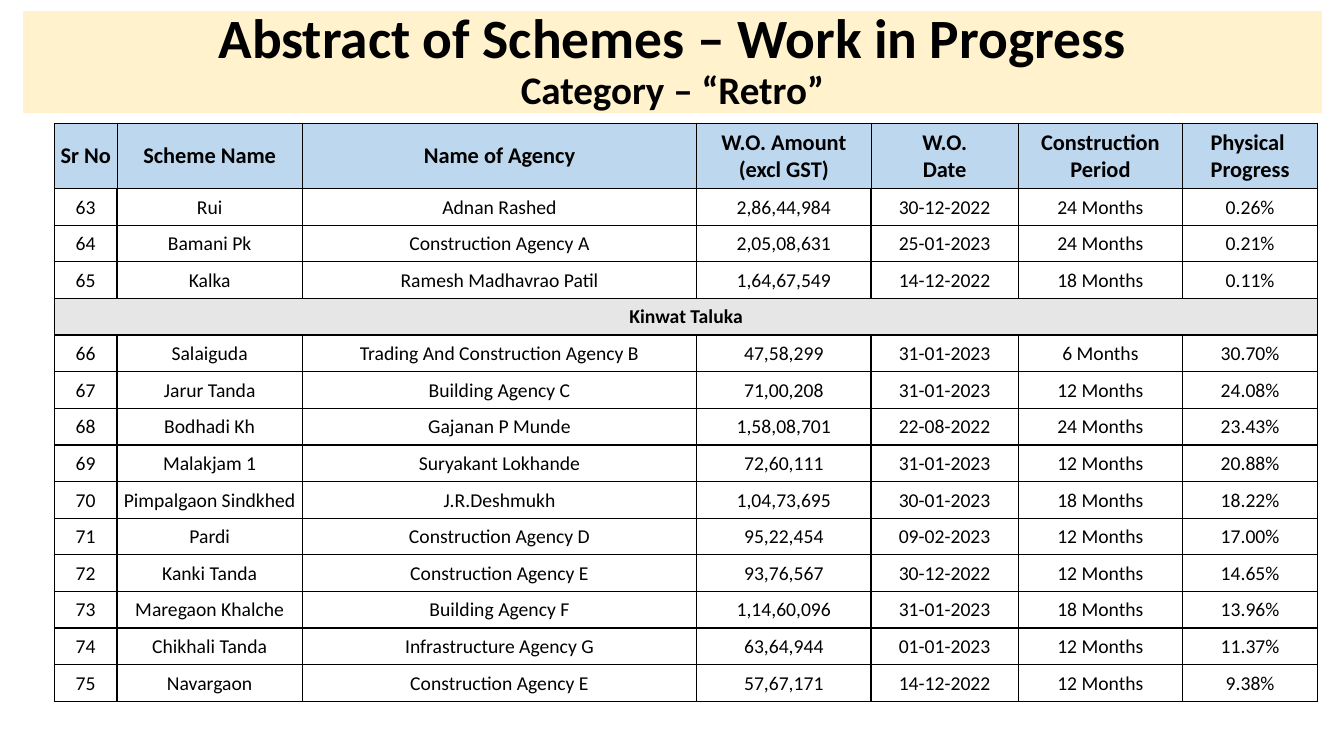
from copy import deepcopy

from lxml import etree
from pptx import Presentation
from pptx import util as u
from pptx.dml.color import RGBColor
from pptx.enum import shapes, text
from pptx.oxml import ns

COLORS = {"ink": "000000", "banner": "FFF2CC", "header": "BDD7EE", "section": "E7E6E6"}
COLUMNS = [0.62, 1.84, 3.91, 1.73, 1.46, 1.63, 1.34]
MARGINS = {"margin_left": 0.01, "margin_top": 0.01, "margin_right": 0.01, "margin_bottom": 0}
HEADER = ["Sr No", "Scheme Name", "Name of Agency", "W.O. Amount\v(excl GST)",
          "W.O.\vDate", "Construction\vPeriod", "Physical \nProgress"]
SCHEMES = [
    ("63", "Rui", "Adnan Rashed", "2,86,44,984", "30-12-2022", "24 Months", "0.26%"),
    ("64", "Bamani Pk", "Construction Agency A", "2,05,08,631", "25-01-2023", "24 Months", "0.21%"),
    ("65", "Kalka", "Ramesh Madhavrao Patil", "1,64,67,549", "14-12-2022", "18 Months", "0.11%"),
    ("Kinwat Taluka",),
    ("66", "Salaiguda", "Trading And Construction Agency B", "47,58,299", "31-01-2023", "6 Months", "30.70%"),
    ("67", "Jarur Tanda", "Building Agency C", "71,00,208", "31-01-2023", "12 Months", "24.08%"),
    ("68", "Bodhadi Kh", "Gajanan P Munde", "1,58,08,701", "22-08-2022", "24 Months", "23.43%"),
    ("69", "Malakjam 1", "Suryakant Lokhande", "72,60,111", "31-01-2023", "12 Months", "20.88%"),
    ("70", "Pimpalgaon Sindkhed", "J.R.Deshmukh", "1,04,73,695", "30-01-2023", "18 Months", "18.22%"),
    ("71", "Pardi", "Construction Agency D", "95,22,454", "09-02-2023", "12 Months", "17.00%"),
    ("72", "Kanki Tanda", "Construction Agency E", "93,76,567", "30-12-2022", "12 Months", "14.65%"),
    ("73", "Maregaon Khalche", "Building Agency F", "1,14,60,096", "31-01-2023", "18 Months", "13.96%"),
    ("74", "Chikhali Tanda", "Infrastructure Agency G", "63,64,944", "01-01-2023", "12 Months", "11.37%"),
    ("75", "Navargaon", "Construction Agency E", "57,67,171", "14-12-2022", "12 Months", "9.38%"),
]


def rgb(name):
    return RGBColor.from_string(COLORS[name])


def style_text(tf, sizes, bold):
    for p in tf.paragraphs:
        p.alignment = text.PP_ALIGN.CENTER
        for r, size in zip(p.runs, sizes):
            for key, value in {"name": "Calibri", "size": u.Pt(size), "bold": bold}.items():
                setattr(r.font, key, value)
            r.font.color.rgb = rgb("ink")
        for br in p._p.findall(ns.qn("a:br")):
            br.insert(0, deepcopy(p.runs[0].font._element))


def set_borders(cell, widths):
    tcPr = cell._tc.get_or_add_tcPr()
    for side, width in zip("LRTB", widths):
        ln = etree.SubElement(tcPr, ns.qn(f"a:ln{side}"), w=str(u.Pt(width)))
        fill = etree.SubElement(ln, ns.qn("a:solidFill"))
        etree.SubElement(fill, ns.qn("a:srgbClr"), val=COLORS["ink"])


def add_banner(s, x, y, w, h):
    sp = s.shapes.add_shape(shapes.MSO_SHAPE.RECTANGLE, *map(u.Inches, (x, y, w, h)))
    sp.shadow.inherit = False
    sp.fill.solid()
    sp.fill.fore_color.rgb = rgb("banner")
    sp.line.fill.background()
    tf = sp.text_frame
    tf.word_wrap = True
    tf.vertical_anchor = text.MSO_ANCHOR.MIDDLE
    tf.text = "Abstract of Schemes – Work in Progress\vCategory – “Retro”"
    style_text(tf, (39.6, 27.9), True)
    tf.paragraphs[0].line_spacing = 0.9


def add_grid(s, x, y, w, h, rows, size, borders, fill=None, bold=False):
    table = s.shapes.add_table(len(rows), len(COLUMNS), *map(u.Inches, (x, y, w, h))).table
    table.first_row = table.horz_banding = False
    for column, width in zip(table.columns, COLUMNS):
        column.width = u.Inches(width)
    for i, values in enumerate(rows):
        table.rows[i].height = u.Inches(h / len(rows))
        section = len(values) == 1
        if section:
            table.cell(i, 0).merge(table.cell(i, len(COLUMNS) - 1))
        color = "section" if section else fill
        for j in range(len(COLUMNS)):
            cell = table.cell(i, j)
            set_borders(cell, borders)
            if color:
                cell.fill.solid()
                cell.fill.fore_color.rgb = rgb(color)
            else:
                cell.fill.background()
            for key, value in MARGINS.items():
                setattr(cell, key, u.Inches(value))
            cell.vertical_anchor = text.MSO_ANCHOR.MIDDLE
            if j < len(values):
                cell.text = values[j]
                style_text(cell.text_frame, (size, size), bold or section)


def main():
    prs = Presentation()
    prs.slide_width, prs.slide_height = u.Inches(13.33), u.Inches(7.5)
    s = prs.slides.add_slide(prs.slide_layouts[6])
    add_banner(s, 0.23, 0.11, 12.88, 1.01)
    add_grid(s, 0.54, 1.22, 12.53, 0.65, [HEADER], 16, (0.5, 0.5, 0.5, 1), "header", True)
    add_grid(s, 0.54, 1.87, 12.53, 5.09, SCHEMES, 14, (1, 1, 1, 1))
    prs.save("out.pptx")


if __name__ == "__main__":
    main()
